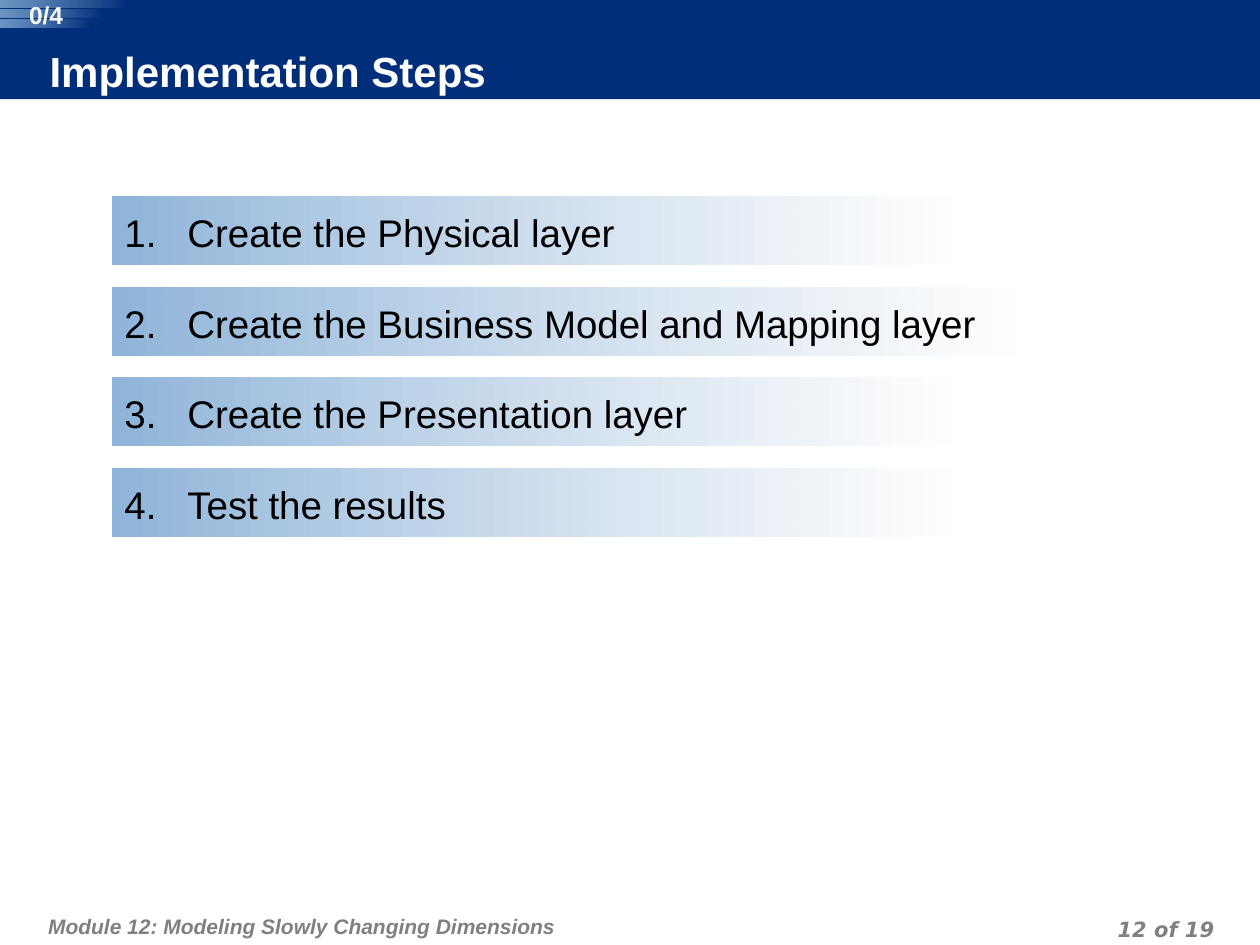
from lxml import etree
from pptx import Presentation
from pptx import util as u
from pptx.dml.color import RGBColor
from pptx.enum import shapes, text
from pptx.oxml.ns import qn

TITLE = "Implementation Steps"
COUNTER = "0/4"
FOOTER = "Module 12: Modeling Slowly Changing Dimensions"
PAGE = "12 of 19"
STEPS = [  # wording, bar width in cm
    ("Create the Physical layer", 16.92),
    ("Create the Business Model and Mapping layer", 18.19),
    ("Create the Presentation layer", 16.92),
    ("Test the results", 16.92),
]
STRIPE_WIDTHS = [2.57, 2.08, 1.85]

NAVY, SKY, PALE, GREY = "002E7A", "90B5DA", "FEFEFE", "808080"
STEP_LEFT, STEP_TOP, STEP_PITCH, STEP_HEIGHT = 2.26, 3.96, 1.83, 1.37
STRIPE_PITCH, STRIPE_HEIGHT = 0.2, 0.16
NUMBER_INDENT = 1.27


def color(value):
    """Turn a hex string into a colour."""
    return RGBColor.from_string(value)


def add_bar(parent, left, top, width, height):
    """Add a plain rectangle without line or shadow."""
    shape = parent.add_shape(shapes.MSO_SHAPE.RECTANGLE, *map(u.Cm, (left, top, width, height)))
    shape.shadow.inherit = False
    shape.line.fill.background()
    return shape


def fill_solid(shape, value):
    """Fill a shape with one colour."""
    shape.fill.solid()
    shape.fill.fore_color.rgb = color(value)


def fill_gradient(shape, stops):
    """Fill a shape right to left with (colour, opacity percent) stops."""
    shape.fill.gradient()
    shape.fill.gradient_angle = 180
    for stop, (value, opacity) in zip(shape.fill.gradient_stops, stops):
        stop.color.rgb = color(value)
    for node, (value, opacity) in zip(shape._element.spPr.iter(qn("a:srgbClr")), stops):
        if opacity < 100:
            etree.SubElement(node, qn("a:alpha"), val=str(opacity * 1000))


def write(shape, wording, size, value, font="Arial", bold=False, italic=False,
          align=text.PP_ALIGN.LEFT, anchor=text.MSO_ANCHOR.TOP, insets=(0, 0, 0, 0)):
    """Write one run into a shape and return its paragraph."""
    frame = shape.text_frame
    frame.word_wrap = True
    frame.auto_size = text.MSO_AUTO_SIZE.NONE
    frame.vertical_anchor = anchor
    frame.margin_left, frame.margin_top, frame.margin_right, frame.margin_bottom = map(u.Cm, insets)
    paragraph = frame.paragraphs[0]
    paragraph.alignment = align
    run = paragraph.add_run()
    run.text = wording
    run.font.name, run.font.size = font, u.Pt(size)
    run.font.bold, run.font.italic = bold, italic
    run.font.color.rgb = color(value)
    return paragraph


def number(paragraph, start):
    """Give a paragraph an automatic number with a hanging indent."""
    properties = paragraph._p.get_or_add_pPr()
    properties.set("marL", str(u.Cm(NUMBER_INDENT)))
    properties.set("indent", str(-u.Cm(NUMBER_INDENT)))
    etree.SubElement(properties, qn("a:buFont"), typeface="Arial")
    etree.SubElement(properties, qn("a:buAutoNum"), type="arabicPeriod", startAt=str(start))


def add_textbox(parent, left, top, width, height):
    """Add a text box measured in cm."""
    return parent.add_textbox(*map(u.Cm, (left, top, width, height)))


presentation = Presentation()
presentation.slide_width, presentation.slide_height = u.Cm(25.4), u.Cm(19.05)
slide = presentation.slides.add_slide(presentation.slide_layouts[5])

header = add_bar(slide.shapes, 0, 0, 25.4, 2)
fill_solid(header, NAVY)
slide.shapes._spTree.insert(2, header._element)

title = slide.shapes.title
title.left, title.top, title.width, title.height = map(u.Cm, (1, 0.97, 20, 1.02))
fill_solid(title, NAVY)
write(title, TITLE, 24, "FFFFFF", bold=True, anchor=text.MSO_ANCHOR.MIDDLE,
      insets=(0, 0, 0.13, 0.13))

for index, (wording, width) in enumerate(STEPS):
    step = add_bar(slide.shapes, STEP_LEFT, STEP_TOP + index * STEP_PITCH, width, STEP_HEIGHT)
    fill_gradient(step, [(PALE, 75), (SKY, 100)])
    paragraph = write(step, wording, 22, "000000", insets=(0.25, 0.25, 0.25, 0.13))
    paragraph.space_before = u.Pt(5.5)
    number(paragraph, index + 1)

progress = slide.shapes.add_group_shape()
for index, width in enumerate(STRIPE_WIDTHS):
    stripe = add_bar(progress.shapes, 0, index * STRIPE_PITCH, width, STRIPE_HEIGHT)
    fill_gradient(stripe, [(NAVY, 100), (SKY, 76)])
counter = add_textbox(progress.shapes, 0.28, 0, 1.3, 0.58)
write(counter, COUNTER, 14, "F8F8F8", bold=True, align=text.PP_ALIGN.CENTER)

for wording, place, font, align, inset_top in [
    (FOOTER, (0.84, 18.03, 15.7, 1.02), "Arial", text.PP_ALIGN.LEFT, 0.25),
    (PAGE, (18.69, 18.34, 5.92, 0.64), "DejaVu Sans", text.PP_ALIGN.RIGHT, 0),
]:
    paragraph = write(add_textbox(slide.shapes, *place), wording, 12, GREY, font, bold=True,
                      italic=True, align=align, insets=(0.13, inset_top, 0.13, 0))
    paragraph.line_spacing = u.Pt(18)
    paragraph.space_before = u.Pt(6)

presentation.save("out.pptx")
